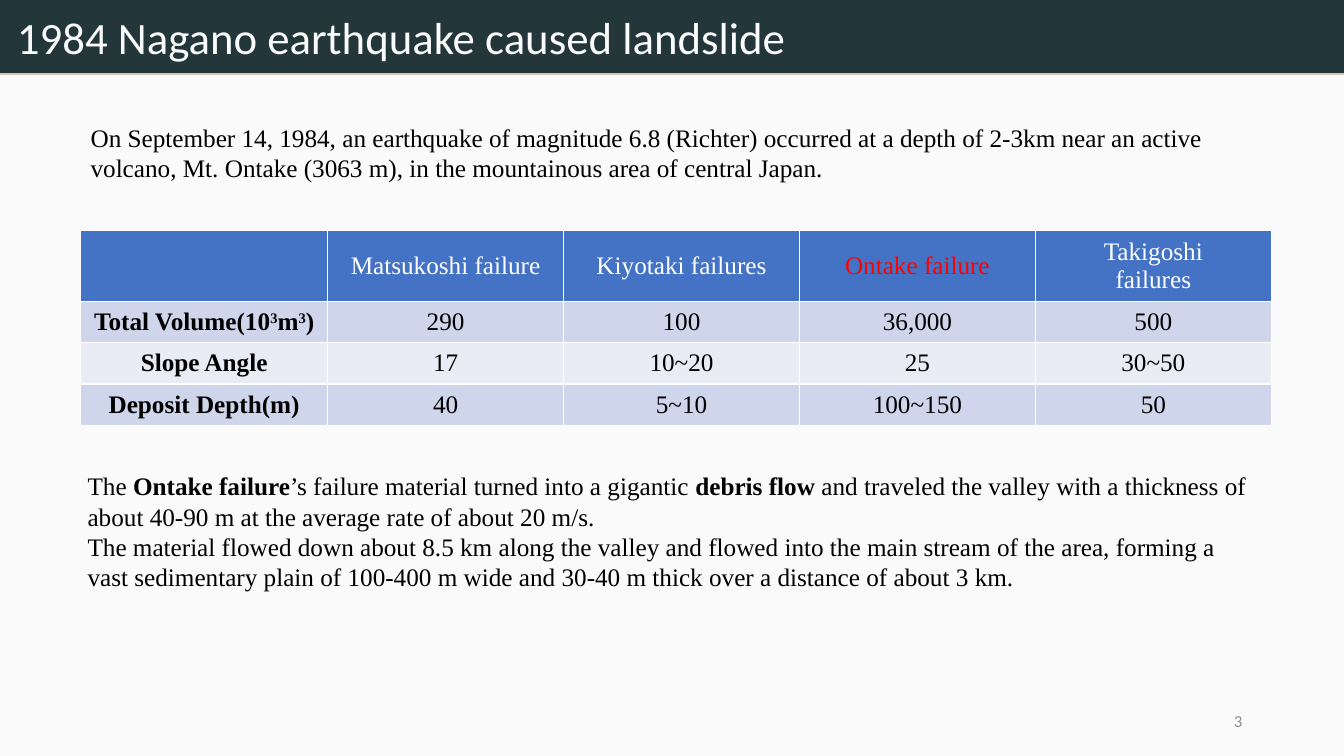
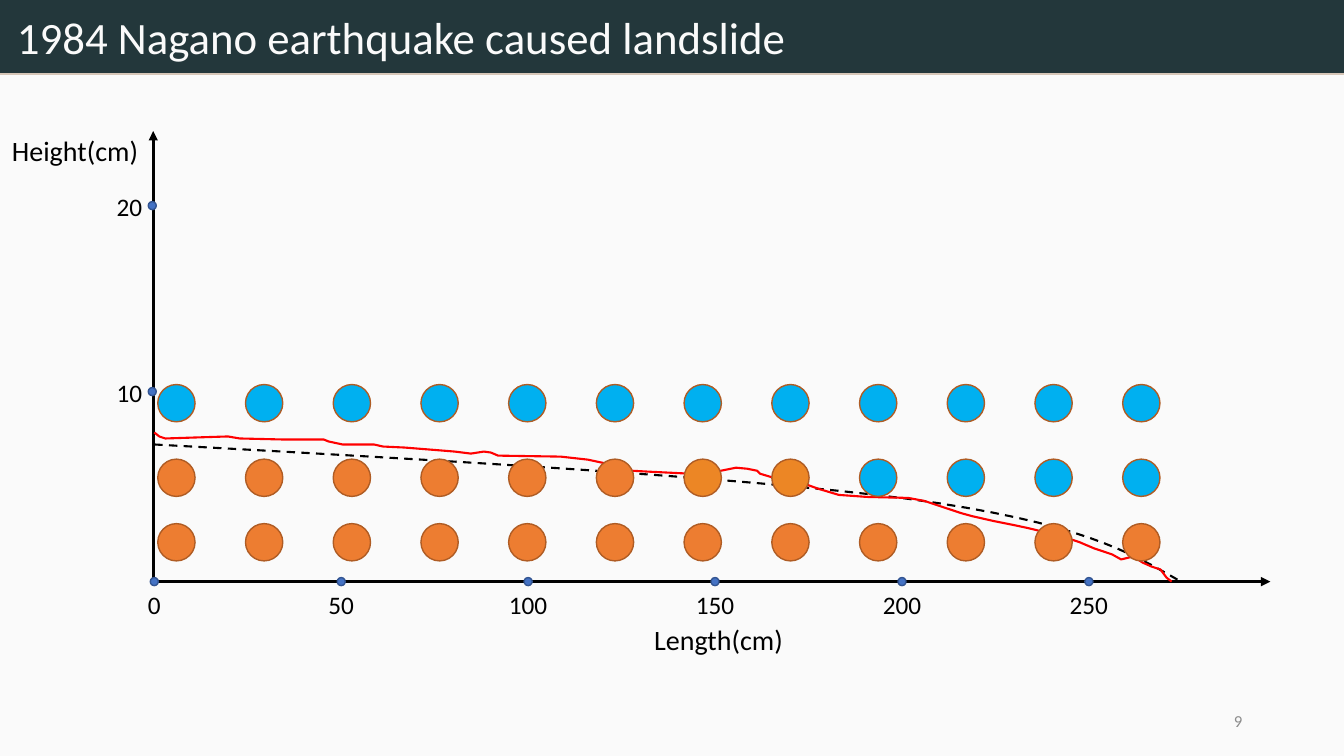
from lxml.etree import SubElement
from pptx import Presentation
from pptx.dml.color import RGBColor
from pptx.enum.dml import MSO_LINE
from pptx.enum.shapes import MSO_CONNECTOR, MSO_SHAPE
from pptx.enum.text import MSO_ANCHOR, PP_ALIGN
from pptx.oxml.ns import qn
from pptx.util import Inches, Pt

COLORS = {
    "back": "FAFAFA", "band": "23373B", "rule": "D6C6B7", "page": "8C8C8C",
    "black": "000000", "white": "FFFFFF", "red": "FF0000",
    "head": "4472C4", "odd": "CFD5EA", "even": "E9EBF5",
    "tick": "4472C4", "rim": "325491",
    "blue": "00B0F0", "orange": "ED7D31", "amber": "EC8625", "edge": "AF5C24",
}
SERIF = "Times New Roman"
SANS = "Calibri"
TITLE = "1984 Nagano earthquake caused landslide"


def rgb(name):
    return RGBColor.from_string(COLORS[name])


def write(frame, text, font=SANS, size=18, color="black", bold=False,
          align=PP_ALIGN.LEFT):
    """One paragraph per line; *bold* and ^superscript^ are marked inline."""
    for i, line in enumerate(text.split("\n")):
        para = frame.paragraphs[0] if i == 0 else frame.add_paragraph()
        para.alignment = align
        for j, part in enumerate(line.split("*")):
            for k, piece in enumerate(part.split("^")):
                if not piece:
                    continue
                run = para.add_run()
                run.text = piece
                run.font.name = font
                run.font.size = Pt(size)
                run.font.bold = bold or j % 2 == 1
                run.font.color.rgb = rgb(color)
                if k % 2:
                    run.font._element.set("baseline", "30000")


def bezier(start, first, second, end, steps=16):
    """Points along a cubic curve, without its start."""
    points = []
    for i in range(1, steps + 1):
        t = i / steps
        u = 1 - t
        weights = (u ** 3, 3 * u * u * t, 3 * u * t * t, t ** 3)
        points.append(tuple(
            sum(w * p[axis] for w, p in zip(weights, (start, first, second, end)))
            for axis in (0, 1)))
    return points


class Deck:
    def __init__(self):
        self.file = Presentation()
        self.file.slide_width = Inches(13.33)
        self.file.slide_height = Inches(7.5)
        self.slide = None

    def page(self, number):
        self.slide = self.file.slides.add_slide(self.file.slide_layouts[6])
        fill = self.slide.background.fill
        fill.solid()
        fill.fore_color.rgb = rgb("back")
        self.shape(MSO_SHAPE.RECTANGLE, 0, 0, 13.33, 0.73, "band", "band")
        self.line((0, 0.73), (13.33, 0.73), "rule", 1.5)
        self.text(9.42, 6.95, 3, 0.4, str(number), size=12, color="page",
                  align=PP_ALIGN.RIGHT, anchor=MSO_ANCHOR.MIDDLE)
        self.text(0.07, 0.05, 13.2, 0.64, TITLE, size=32, color="back")

    def text(self, left, top, width, height, text, wrap=True,
             anchor=MSO_ANCHOR.TOP, **style):
        box = self.slide.shapes.add_textbox(
            Inches(left), Inches(top), Inches(width), Inches(height))
        box.text_frame.word_wrap = wrap
        box.text_frame.vertical_anchor = anchor
        write(box.text_frame, text, **style)

    def shape(self, kind, left, top, width, height, fill, edge):
        item = self.slide.shapes.add_shape(
            kind, Inches(left), Inches(top), Inches(width), Inches(height))
        item.shadow.inherit = False
        item.fill.solid()
        item.fill.fore_color.rgb = rgb(fill)
        item.line.color.rgb = rgb(edge)
        item.line.width = Pt(1)

    def dot(self, x, y, size, fill, edge):
        self.shape(MSO_SHAPE.OVAL, x - size / 2, y - size / 2, size, size, fill, edge)

    def line(self, start, end, color, width, arrow=False):
        item = self.slide.shapes.add_connector(
            MSO_CONNECTOR.STRAIGHT, *map(Inches, start + end))
        item.line.color.rgb = rgb(color)
        item.line.width = Pt(width)
        if arrow:
            SubElement(item.line._get_or_add_ln(), qn("a:tailEnd"), type="triangle")
        SubElement(item._element.spPr, qn("a:effectLst"))

    def curve(self, points, color, dash=None):
        spots = [(Inches(x), Inches(y)) for x, y in points]
        path = self.slide.shapes.build_freeform(*spots[0])
        path.add_line_segments(spots[1:], close=False)
        item = path.convert_to_shape()
        item.shadow.inherit = False
        item.fill.background()
        item.line.color.rgb = rgb(color)
        item.line.width = Pt(1.5)
        item.line.dash_style = dash

    def cell(self, cell, text, fill, **style):
        cell.vertical_anchor = MSO_ANCHOR.MIDDLE
        props = cell._tc.get_or_add_tcPr()
        for side in ("lnL", "lnR", "lnT", "lnB"):
            edge = SubElement(props, qn("a:" + side), w=str(Pt(1)))
            solid = SubElement(edge, qn("a:solidFill"))
            SubElement(solid, qn("a:srgbClr"), val=COLORS["white"])
        cell.fill.solid()
        cell.fill.fore_color.rgb = rgb(fill)
        write(cell.text_frame, text, font=SERIF, align=PP_ALIGN.CENTER, **style)

    def table(self, left, top, rows, widths, heights):
        grid = self.slide.shapes.add_table(
            len(rows), len(widths), Inches(left), Inches(top),
            Inches(sum(widths)), Inches(sum(heights))).table
        for col, width in zip(grid.columns, widths):
            col.width = Inches(width)
        for row, height in zip(grid.rows, heights):
            row.height = Inches(height)
        for r, row in enumerate(rows):
            for c, text in enumerate(row):
                if r == 0:
                    color = "red" if text.startswith("Ontake") else "white"
                    self.cell(grid.cell(r, c), text, "head", color=color)
                else:
                    self.cell(grid.cell(r, c), text, "odd" if r % 2 else "even",
                              bold=c == 0)


# Facts and table
FACTS = [
    ["", "Matsukoshi failure", "Kiyotaki failures", "Ontake failure",
     "Takigoshi\nfailures"],
    ["Total Volume(10^3^m^3^)", "290", "100", "36,000", "500"],
    ["Slope Angle", "17", "10~20", "25", "30~50"],
    ["Deposit Depth(m)", "40", "5~10", "100~150", "50"],
]
INTRO = ("On September 14, 1984, an earthquake of magnitude 6.8 (Richter) occurred "
         "at a depth of 2-3km near an active volcano, Mt. Ontake (3063 m), in the "
         "mountainous area of central Japan.")
FLOW = ("The *Ontake failure*’s failure material turned into a gigantic *debris "
        "flow *and traveled the valley with a thickness of about 40-90 m at the "
        "average rate of about 20 m/s.\n"
        "The material flowed down about 8.5 km along the valley and flowed into the "
        "main stream of the area, forming a vast sedimentary plain of 100-400 m wide "
        "and 30-40 m thick over a distance of about 3 km.")

# Profile of the slope, in inches on the slide
ROUGH = [
    (1.53, 4.29), (1.58, 4.33), (1.64, 4.35), (1.95, 4.34), (2.26, 4.33),
    (2.38, 4.35), (2.8, 4.36), (3.21, 4.36), (3.26, 4.38), (3.4, 4.41),
    (3.71, 4.41), (3.8, 4.43), (4.01, 4.44), (4.39, 4.47), (4.51, 4.48),
    (4.67, 4.5), (4.8, 4.48), (4.87, 4.49), (4.94, 4.52), (5.56, 4.53),
    (5.83, 4.56), (5.97, 4.59), (6.07, 4.61), (6.27, 4.67), (6.45, 4.68),
    (6.86, 4.7), (7.1, 4.68), (7.3, 4.64), (7.41, 4.65), (7.51, 4.67),
    (7.54, 4.7), (7.64, 4.73), (7.77, 4.77), (7.98, 4.8), (8.12, 4.85),
    (8.32, 4.91), (8.6, 4.93), (9.01, 4.94), (9.17, 4.97), (9.26, 5),
    (9.53, 5.09), (9.64, 5.12), (9.86, 5.17), (10.06, 5.21), (10.2, 5.24),
    (10.45, 5.3), (10.56, 5.33), (10.71, 5.38), (10.85, 5.44), (11.03, 5.5),
    (11.12, 5.55), (11.24, 5.52), (11.33, 5.58), (11.42, 5.62), (11.51, 5.65),
    (11.57, 5.73), (11.62, 5.77),
]
SMOOTH = [(1.53, 4.41)]
SMOOTH += bezier((1.53, 4.41), (4.42, 4.57), (7.31, 4.73), (9.01, 4.95))
SMOOTH += bezier((9.01, 4.95), (10.71, 5.18), (11.21, 5.48), (11.71, 5.77))

# Rows of balls: centre height and colours from left to right
BALLS = [
    (4.0, ["blue"] * 12),
    (4.74, ["orange"] * 6 + ["amber"] * 2 + ["blue"] * 4),
    (5.38, ["orange"] * 12),
]


def facts(deck):
    deck.page(3)
    deck.table(0.8, 2.29, FACTS, [2.45] + [2.34] * 4, [0.69] + [0.41] * 3)
    deck.text(0.77, 4.62, 11.79, 1.31, FLOW, font=SERIF)
    deck.text(0.8, 1.16, 11.79, 0.71, INTRO, font=SERIF)


def chart(deck):
    deck.page(9)
    # Axes
    deck.line((1.52, 5.78), (1.52, 1.3), "black", 2.25, arrow=True)
    deck.line((1.52, 5.77), (12.6, 5.77), "black", 2.25, arrow=True)
    # Curves
    deck.curve(SMOOTH, "black", dash=MSO_LINE.DASH)
    deck.curve(ROUGH, "red")
    # Ticks and their labels
    for i in range(6):
        x = 1.53 + 1.854 * i
        deck.dot(x, 5.77, 0.08, "tick", "rim")
        deck.text(x - 0.3, 5.8, 0.6, 0.4, str(50 * i), wrap=False,
                  align=PP_ALIGN.CENTER)
    for i in (1, 2):
        y = 5.73 - 1.845 * i
        deck.dot(1.51, y, 0.08, "tick", "rim")
        deck.text(1.06, y - 0.19, 0.46, 0.4, str(10 * i), wrap=False)
    deck.text(6.39, 6.13, 1.49, 0.44, "Length(cm)", size=20, wrap=False)
    deck.text(0.02, 1.28, 1.47, 0.44, "Height(cm)", size=20, wrap=False)
    # Balls
    for y, colors in BALLS:
        for i, color in enumerate(colors):
            deck.dot(1.75 + 0.87 * i, y, 0.37, color, "edge")


def main():
    deck = Deck()
    facts(deck)
    chart(deck)
    deck.file.save("out.pptx")


if __name__ == "__main__":
    main()
